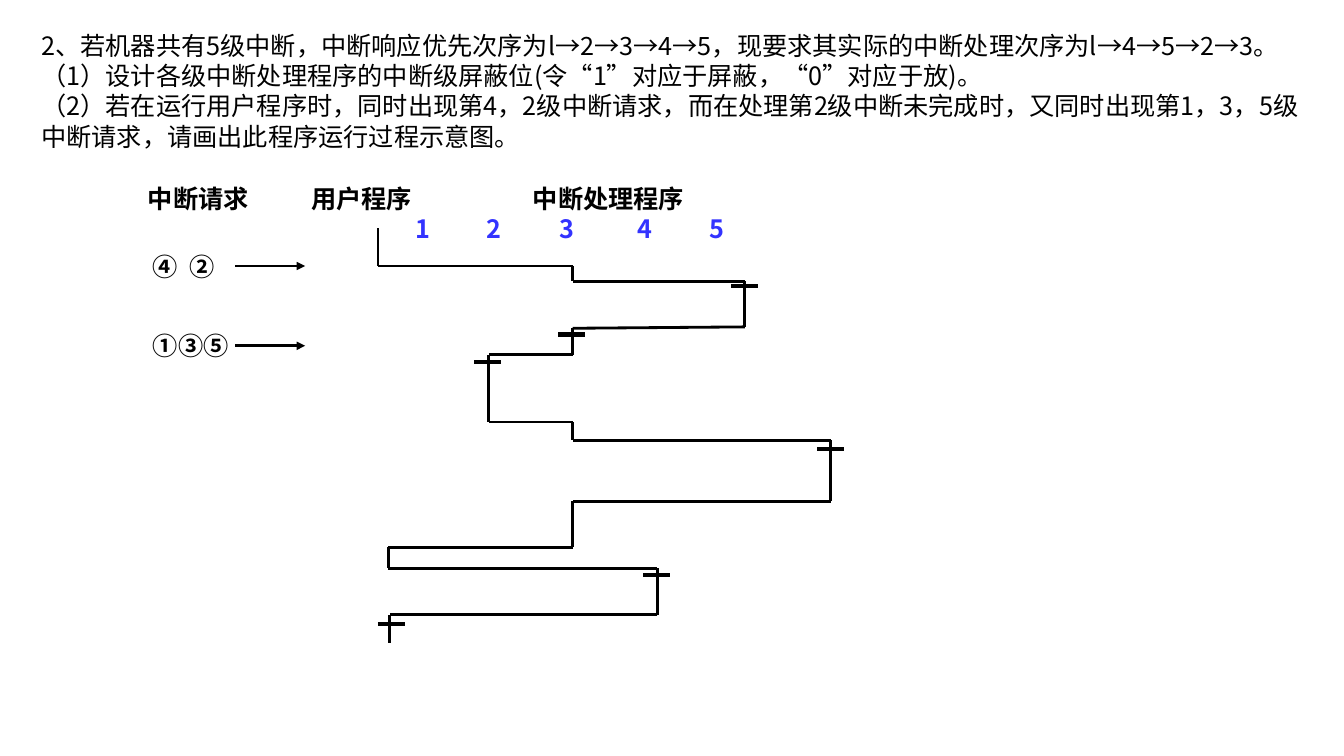
"""Build the slide on nested interrupt handling with its run-time trace."""
from dataclasses import dataclass
from itertools import pairwise
from typing import Any

from lxml.etree import SubElement
from pptx import Presentation
from pptx.dml.color import RGBColor
from pptx.enum.shapes import MSO_CONNECTOR
from pptx.enum.text import MSO_ANCHOR, MSO_AUTO_SIZE, PP_ALIGN
from pptx.oxml.ns import qn
from pptx.util import Pt

HUES = {"ink": "000000", "level": "3333FF"}
FACE = "Noto Sans CJK SC"
FRAME = {"word_wrap": True, "auto_size": MSO_AUTO_SIZE.NONE,
         "vertical_anchor": MSO_ANCHOR.TOP,
         "margin_left": Pt(7.2), "margin_right": Pt(7.2),
         "margin_top": Pt(3.6), "margin_bottom": Pt(3.6)}
PARA = {"alignment": PP_ALIGN.LEFT, "line_spacing": Pt(21.6),
        "space_before": Pt(0), "space_after": Pt(0)}
FONT = {"name": FACE, "size": Pt(18)}

Point = tuple[float, float]


@dataclass
class Row:
    """One paragraph with its tab stops in points."""
    text: str
    hue: str = "ink"
    bold: bool = True
    tabs: tuple[float, ...] = ()
    align: str = "l"


@dataclass
class Block:
    """A text box: left, top, width and height in points, and its rows."""
    box: tuple[float, float, float, float]
    rows: list[Row]


@dataclass
class Line:
    """A straight stroke between two points."""
    start: Point
    end: Point
    width: float = 2
    arrow: bool = False


TASK = Block((22.3, 18, 923.8, 94.3), [
    Row("2、若机器共有5级中断，中断响应优先次序为l→2→3→4→5，现要求其实际的中断处理次序为l→4→5→2→3。", bold=False),
    Row("（1）设计各级中断处理程序的中断级屏蔽位(令“1”对应于屏蔽，“0”对应于放)。", bold=False),
    Row("（2）若在运行用户程序时，同时出现第4，2级中断请求，而在处理第2级中断未完成时，"
        "又同时出现第1，3，5级中断请求，请画出此程序运行过程示意图。", bold=False),
])
LABELS = [
    Block((98.6, 127.4, 748.8, 51.1), [
        Row("中断请求\t用户程序\t中断处理程序", tabs=(116.5, 275)),
        Row("\t1\t2\t3\t4\t5", "level",
            tabs=(196.5, 247.5, 299, 355, 406.5), align="ctr"),
    ]),
    Block((102.2, 175.7, 108, 28.8), [Row("④\t②", tabs=(26.4,))]),
    Block((102.2, 232.6, 108, 28.8), [Row("①③⑤")]),
]
TRACE: list[Point] = [
    (270, 163), (270, 190), (409, 190), (409, 201), (532, 201),
    (532, 233.5), (409, 234.5), (409, 253.5), (349, 253.5), (349, 301.5),
    (409, 301.5), (409, 314.5), (593.5, 314.5), (593.5, 358), (409, 358),
    (409, 391), (277.5, 391), (277.5, 406), (469.5, 406), (469.5, 439),
    (278.5, 439), (278.5, 459.5),
]
TICKS: list[Point] = [(408.5, 239), (532, 204.5), (348.5, 258.5),
                      (593.5, 321), (469, 411), (279.5, 445.5)]
HALF = 9.6
CALLS = [190, 247]


def apply(item: Any, form: dict[str, Any]) -> None:
    """Set each format value on the item."""
    for key, val in form.items():
        setattr(item, key, val)


def write(shape: Any, block: Block) -> None:
    """Place the shape and fill it with the rows of the block."""
    apply(shape, dict(zip(("left", "top", "width", "height"),
                          map(Pt, block.box))))
    frame = shape.text_frame
    apply(frame, FRAME)
    for num, row in enumerate(block.rows):
        para = frame.add_paragraph() if num else frame.paragraphs[0]
        apply(para, PARA)
        if row.tabs:
            props = para._p.get_or_add_pPr()
            stops = SubElement(props, qn("a:tabLst"))
            for pos in row.tabs:
                SubElement(stops, qn("a:tab"), pos=str(Pt(pos)),
                           algn=row.align)
        run = para.add_run()
        run.text = row.text
        apply(run.font, FONT | {"bold": row.bold})
        run.font.color.rgb = RGBColor.from_string(HUES[row.hue])
        SubElement(run._r.get_or_add_rPr(), qn("a:ea"), typeface=FACE)


def draw(slide: Any, line: Line) -> None:
    """Draw one stroke, with an arrowhead where asked."""
    ends = map(Pt, (*line.start, *line.end))
    link = slide.shapes.add_connector(MSO_CONNECTOR.STRAIGHT, *ends)
    link.line.width = Pt(line.width)
    link.line.color.rgb = RGBColor.from_string(HUES["ink"])
    if line.arrow:
        SubElement(link.line._get_or_add_ln(), qn("a:tailEnd"),
                   type="triangle")
    SubElement(link._element.spPr, qn("a:effectLst"))


def main() -> None:
    """Build and save the slide."""
    deck = Presentation()
    apply(deck, {"slide_width": Pt(960), "slide_height": Pt(540)})
    slide = deck.slides.add_slide(deck.slide_layouts[5])
    write(slide.shapes.title, TASK)
    for block in LABELS:
        write(slide.shapes.add_textbox(*map(Pt, block.box)), block)
    lines = [Line((168, y), (218, y), arrow=True) for y in CALLS]
    lines += [Line(a, b) for a, b in pairwise(TRACE)]
    lines += [Line((x - HALF, y), (x + HALF, y), 3) for x, y in TICKS]
    for line in lines:
        draw(slide, line)
    deck.save("out.pptx")


if __name__ == "__main__":
    main()
